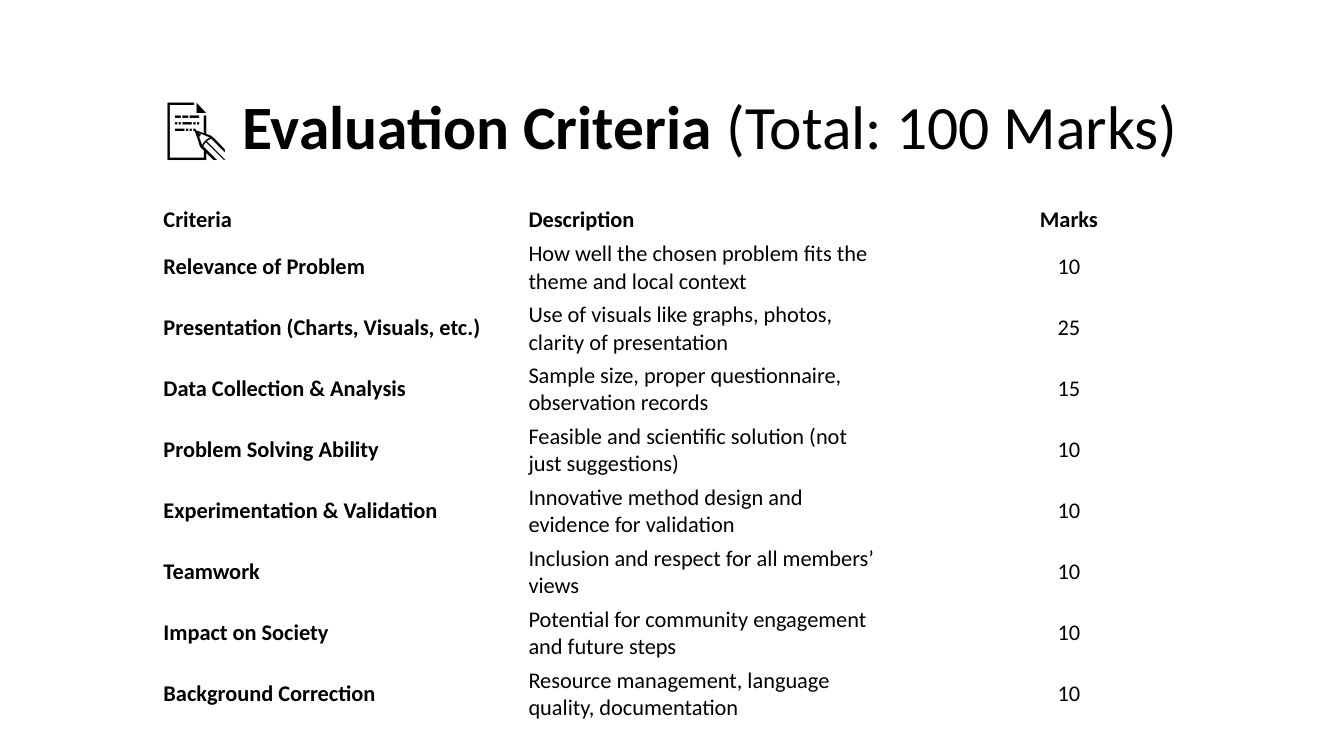
"""Build the evaluation criteria slide with its marks table."""
from pptx import Presentation
from pptx.dml.color import RGBColor
from pptx.enum.text import MSO_ANCHOR, PP_ALIGN
from pptx.util import Cm, Pt

TITLE = [("📝 ", False), ("Evaluation Criteria", True), (" (Total: 100 Marks)", False)]
HEAD = ("Criteria", "Description", "Marks")
ROWS = [
    ("Relevance of Problem", "How well the chosen problem fits the theme and local context", 10),
    ("Presentation (Charts, Visuals, etc.)", "Use of visuals like graphs, photos, clarity of presentation", 25),
    ("Data Collection & Analysis", "Sample size, proper questionnaire, observation records", 15),
    ("Problem Solving Ability", "Feasible and scientific solution (not just suggestions)", 10),
    ("Experimentation & Validation", "Innovative method design and evidence for validation", 10),
    ("Teamwork", "Inclusion and respect for all members’ views", 10),
    ("Impact on Society", "Potential for community engagement and future steps", 10),
    ("Background Correction", "Resource management, language quality, documentation", 10),
]
FONT = "Calibri"
BLACK = RGBColor(0, 0, 0)
WIDE, HEAD_H, ROW_H = 9.2, 0.71, 1.27


def write(par, text, size=16, bold=False, align=PP_ALIGN.LEFT):
    par.alignment = align
    run = par.add_run()
    run.text = text
    font = run.font
    font.name, font.size, font.bold = FONT, Pt(size), bold
    font.color.rgb = BLACK


def add_title(slide):
    box = slide.shapes.add_textbox(Cm(2.33), Cm(1.42), Cm(29.21), Cm(3.68))
    frame = box.text_frame
    frame.word_wrap = True
    frame.vertical_anchor = MSO_ANCHOR.MIDDLE
    par = frame.paragraphs[0]
    par.line_spacing = 0.9
    for text, bold in TITLE:
        write(par, text, size=44, bold=bold, align=PP_ALIGN.CENTER)


def add_marks(slide):
    data = [HEAD] + ROWS
    high = HEAD_H + ROW_H * len(ROWS)
    table = slide.shapes.add_table(
        len(data), len(HEAD), Cm(3.94), Cm(5.11), Cm(WIDE * len(HEAD)), Cm(high)).table
    table.first_row = table.horz_banding = False
    for col in table.columns:
        col.width = Cm(WIDE)
    for r, line in enumerate(data):
        table.rows[r].height = Cm(ROW_H if r else HEAD_H)
        for c, text in enumerate(line):
            cell = table.cell(r, c)
            cell.fill.background()
            cell.vertical_anchor = MSO_ANCHOR.MIDDLE
            cell.margin_left = cell.margin_right = Cm(0.18)
            cell.margin_top = cell.margin_bottom = Cm(0.09)
            write(cell.text_frame.paragraphs[0], str(text), bold=r == 0 or c == 0,
                  align=PP_ALIGN.CENTER if c == 2 else PP_ALIGN.LEFT)


def main():
    deck = Presentation()
    deck.slide_width, deck.slide_height = Cm(33.87), Cm(19.05)
    slide = deck.slides.add_slide(deck.slide_layouts[6])
    add_title(slide)
    add_marks(slide)
    deck.save("out.pptx")


if __name__ == "__main__":
    main()
